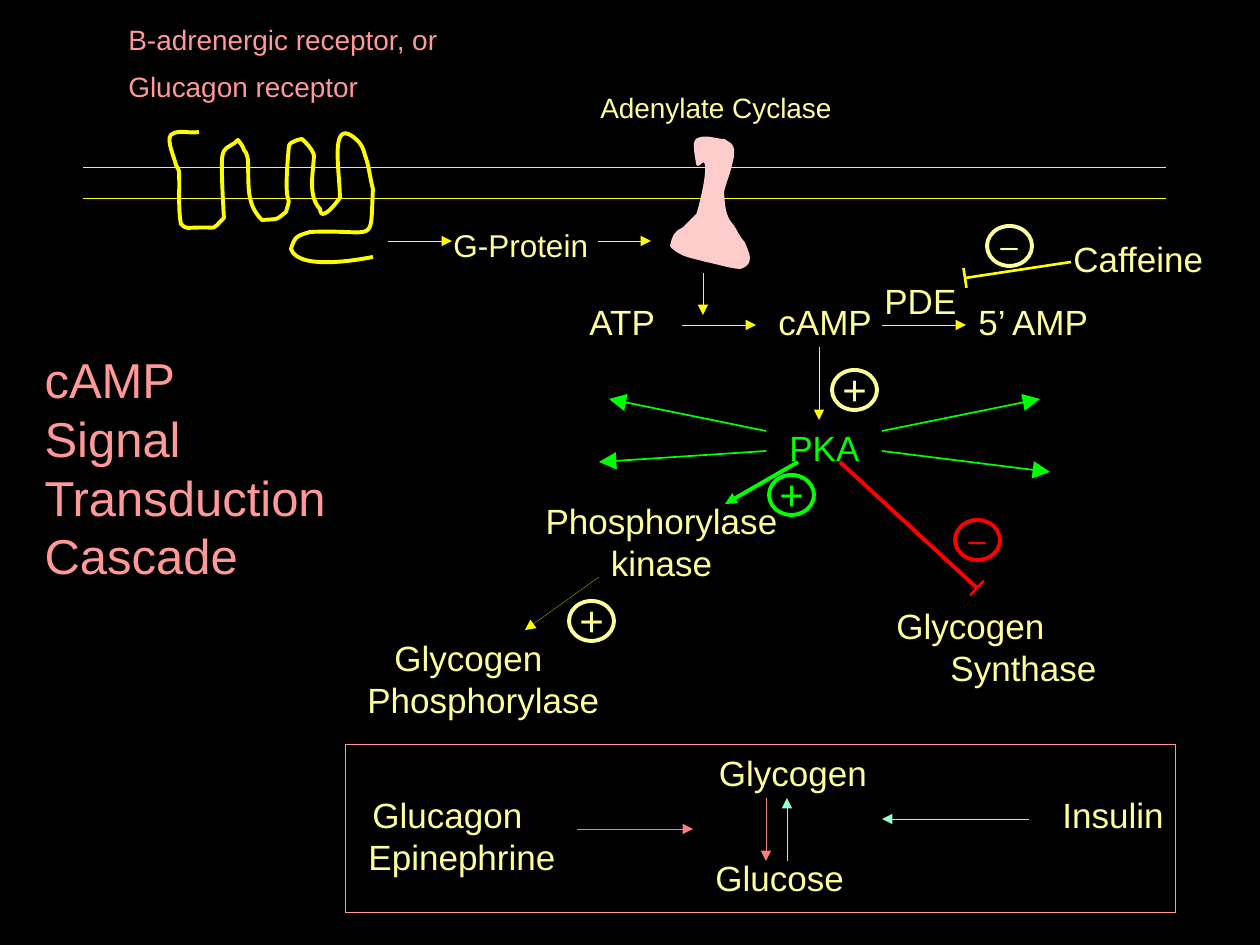
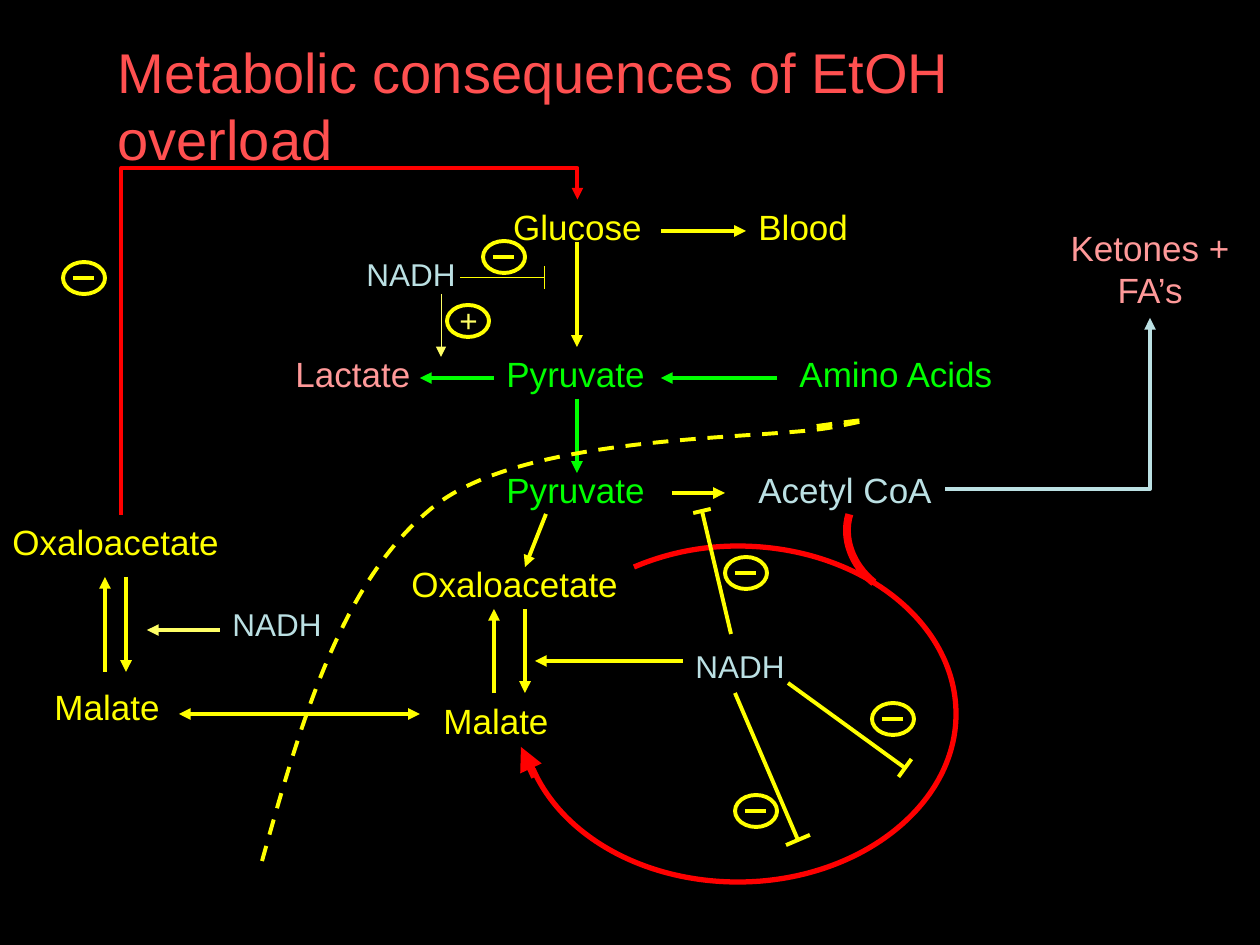
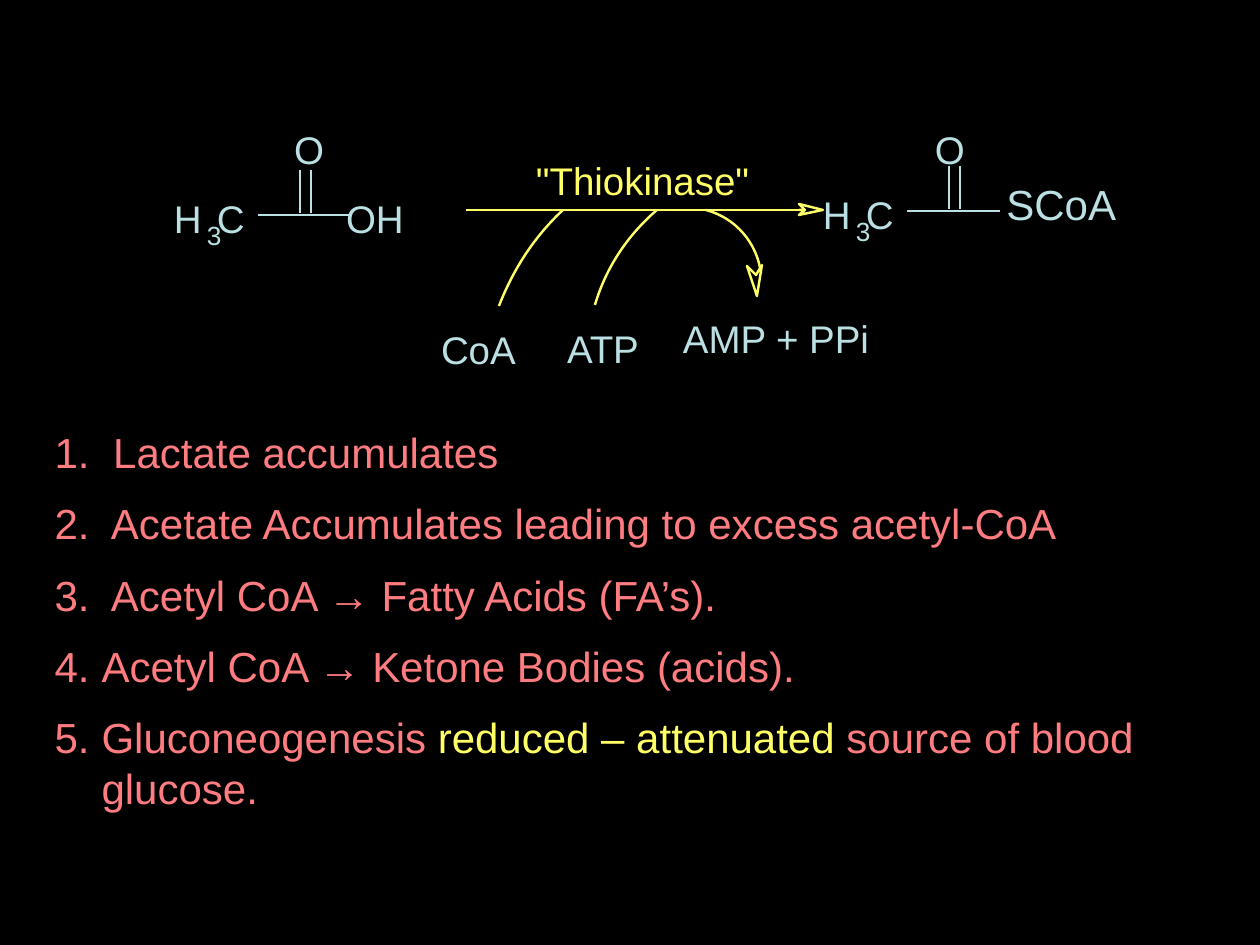
from copy import deepcopy
from dataclasses import dataclass
from math import hypot

from lxml import etree
from pptx import Presentation
from pptx import util as u
from pptx.dml.color import RGBColor
from pptx.enum import dml, shapes, text
from pptx.oxml.ns import qn

PX = u.Inches(1) / 126
LEFT, MID = text.PP_ALIGN.LEFT, text.PP_ALIGN.CENTER


@dataclass(frozen=True)
class Theme:
    """Colours, type sizes and line widths of the deck."""
    font: str = "Arial"
    black: str = "000000"
    yellow: str = "FFFF00"
    cream: str = "FFFF99"
    lemon: str = "FFFF66"
    rose: str = "FF9999"
    salmon: str = "FF7C80"
    coral: str = "FF5050"
    pink: str = "FFCCCC"
    red: str = "FF0000"
    green: str = "00FF00"
    mint: str = "99FFCC"
    ice: str = "BBE0E3"
    head: int = 32
    side: int = 28
    big: int = 24
    atom: int = 22
    base: int = 20
    small: int = 18
    note: int = 16
    sub: int = 15
    thin: float = 0  # the default hairline
    fine: float = 1
    bond: float = 1.38
    mid: float = 1.5
    bold: float = 2.25
    ring: float = 3
    thick: float = 4.5


T = Theme()


def emu(n):
    """Turn pixels into EMU."""
    return u.Emu(round(n * PX))


def rgb(hue):
    """Turn a hex string into a colour."""
    return RGBColor.from_string(hue)


def put(obj, **vals):
    """Set attributes from format values."""
    for key, val in vals.items():
        setattr(obj, key, val)


def run(par, words, size, hue):
    """Add one formatted run to a paragraph."""
    r = par.add_run()
    r.text = words
    put(r.font, name=T.font, size=u.Pt(size))
    r.font.color.rgb = rgb(hue)


def flow(frame, rows, size, hue, align=LEFT, lefts=()):
    """Fill a text frame, one paragraph a row, with optional indents."""
    for i, row in enumerate(rows):
        par = frame.paragraphs[0] if i == 0 else frame.add_paragraph()
        put(par, alignment=align, space_before=u.Pt(0 if lefts else size / 2))
        if lefts:
            par._p.get_or_add_pPr().set("marL", str(emu(lefts[i])))
        for part in [row] if isinstance(row, str) else row:
            words, tint = (part, hue) if isinstance(part, str) else part
            run(par, words, size, tint)


def place(shape, x, y, w, h):
    """Move and size a shape in pixels."""
    put(shape, left=emu(x), top=emu(y), width=emu(w), height=emu(h))


def smooth(way, count):
    """Turn the first segments of a path into cubic curves, three to a curve."""
    legs = way.findall(qn("a:lnTo"))[:count]
    for i in range(0, count, 3):
        curve = etree.Element(qn("a:cubicBezTo"))
        legs[i].addprevious(curve)
        for leg in legs[i:i + 3]:
            curve.append(leg[0])
            way.remove(leg)


class Pen:
    """Draws in pixels from the corner of a region."""

    def __init__(self, tree, x=0, y=0):
        self.tree, self.x, self.y = tree, x, y

    def sub(self, x, y):
        """A pen for a box inside this region."""
        return Pen(self.tree, self.x + x, self.y + y)

    def group(self, x, y):
        """A pen for a new group."""
        return Pen(self.tree.add_group_shape().shapes, self.x + x, self.y + y)

    def ink(self, shape, hue, width):
        """Colour the outline of a shape; thin lines keep the default width."""
        shape.line.color.rgb = rgb(hue)
        if width:
            shape.line.width = u.Pt(width)
        else:
            style = shape._element.find(qn("p:style"))
            shape._element.remove(style)

    def text(self, words, x, y, w, h=54, hue=T.cream, size=T.base,
             align=LEFT, lefts=(), tight=False, wrap=True):
        """Add a text box."""
        box = self.tree.add_textbox(emu(self.x + x), emu(self.y + y), emu(w), emu(h))
        frame = box.text_frame
        put(frame, word_wrap=wrap, auto_size=text.MSO_AUTO_SIZE.SHAPE_TO_FIT_TEXT)
        if tight:
            put(frame, margin_left=0, margin_right=0, margin_top=0, margin_bottom=0)
        flow(frame, [words] if isinstance(words, str) else words, size, hue, align, lefts)

    def line(self, x1, y1, x2, y2, hue=T.yellow, width=T.thin, tips="tailEnd",
             kind=shapes.MSO_CONNECTOR.STRAIGHT, tip="med"):
        """Add a connector with arrowheads at the named ends."""
        c = self.tree.add_connector(kind, emu(self.x + x1), emu(self.y + y1),
                                    emu(self.x + x2), emu(self.y + y2))
        self.ink(c, hue, width)
        ln = c.line._get_or_add_ln()
        for end in tips.split():
            etree.SubElement(ln, qn("a:" + end), type="triangle", w=tip, len=tip)
        etree.SubElement(c._element.spPr, qn("a:effectLst"))
        return c

    def elbow(self, x1, y1, x2, y2, hue, kind, turn=0, adj=None):
        """Add a bent connector, turned by whole degrees."""
        c = self.line(x1, y1, x2, y2, hue, T.bold, kind=shapes.MSO_CONNECTOR.ELBOW)
        props = c._element.spPr
        geom = props.find(qn("a:prstGeom"))
        geom.set("prst", kind)
        if turn:
            props.find(qn("a:xfrm")).set("rot", str(turn * 60000))
        if adj:
            etree.SubElement(geom.find(qn("a:avLst")), qn("a:gd"),
                             name="adj1", fmla=f"val {adj}")

    def stop(self, x1, y1, x2, y2, half, hue=T.yellow, width=T.bold, bar=None):
        """Add a line that ends in a crossbar."""
        self.line(x1, y1, x2, y2, hue, width, "")
        k = half / hypot(x2 - x1, y2 - y1)
        dx, dy = (y1 - y2) * k, (x2 - x1) * k
        self.line(x2 - dx, y2 - dy, x2 + dx, y2 + dy, hue, bar or width, "")

    def shape(self, kind, x, y, w, h, hue, width):
        """Add an unfilled preset shape."""
        s = self.tree.add_shape(kind, emu(self.x + x), emu(self.y + y), emu(w), emu(h))
        s.shadow.inherit = False
        s.fill.background()
        self.ink(s, hue, width)

    def free(self, pts, hue, width, fill=None, close=False):
        """Add an outline through points."""
        pts = [(emu(self.x + x), emu(self.y + y)) for x, y in pts]
        b = self.tree.build_freeform(*pts[0])
        b.add_line_segments(pts[1:], close=close)
        s = b.convert_to_shape()
        s.shadow.inherit = False
        if fill:
            s.fill.solid()
            s.fill.fore_color.rgb = rgb(fill)
        else:
            s.fill.background()
        self.ink(s, hue, width)
        return s

    def curve(self, flat, hue, width, fill=None, close=False):
        """Add cubic curves: a start, then three points for each."""
        pts = list(zip(flat[::2], flat[1::2]))
        s = self.free(pts, hue, width, fill, close)
        smooth(next(s._element.iter(qn("a:path"))), len(pts) - 1)
        return s

    def arc(self, flat, hub, hue, width):
        """Add an open arc whose unstroked sector reaches its hub."""
        pts = list(zip(flat[::2], flat[1::2]))
        s = self.free(pts + [hub], hue, width, close=True)
        sector = next(s._element.iter(qn("a:path")))
        smooth(sector, len(pts) - 1)
        edge = deepcopy(sector)
        for tag in ("a:lnTo", "a:close"):
            edge.remove(edge.find(qn(tag)))
        edge.set("fill", "none")
        sector.set("stroke", "0")
        sector.addprevious(edge)
        return s

    def sign(self, mark, x, y, hue=T.cream):
        """Add a large ringed plus or minus."""
        g = self.group(x, y)
        box, size = ((-2, -13, 50, 63), T.big) if mark == "+" else ((1, -6, 43, 50), T.small)
        g.text(mark, *box, hue, size, wrap=False)
        g.shape(shapes.MSO_SHAPE.OVAL, 0, 0, 45, 40, hue, T.bold)

    def badge(self, mark, x, y):
        """Add a small ringed plus or minus."""
        g = self.group(x, y)
        if mark == "-":
            g.line(10, 16, 31, 16, width=T.bold, tips="")
        g.shape(shapes.MSO_SHAPE.OVAL, 0, 0, 42, 32, T.yellow, T.bold)
        if mark == "+":
            g.text(mark, 0, -10, 44, 50, T.lemon, T.small, wrap=False)


def title(slide, rows, box, size, hue, anchor):
    """Format the title placeholder."""
    t = slide.shapes.title
    place(t, *box)
    put(t.text_frame, word_wrap=True, vertical_anchor=anchor,
        auto_size=text.MSO_AUTO_SIZE.NONE)
    flow(t.text_frame, rows, size, hue, lefts=[0] * len(rows))


def receptor(p):
    """The seven-pass receptor thread."""
    p.curve([
        99, 32, 90, 34, 78, 29, 71, 35, 66, 40, 75, 59, 76, 65, 78, 68, 79, 71, 79, 71,
        80, 89, 78, 107, 81, 124, 83, 127, 85, 127, 88, 128, 124, 126, 109, 132, 124, 118,
        123, 100, 122, 83, 122, 65, 122, 60, 122, 55, 124, 51, 127, 46, 134, 45, 138, 40,
        141, 44, 143, 46, 144, 50, 147, 52, 148, 60, 148, 60, 149, 86, 146, 104, 162, 120,
        180, 119, 176, 120, 186, 112, 194, 86, 182, 122, 189, 46, 190, 41, 202, 39, 202, 39,
        207, 44, 211, 47, 214, 55, 214, 70, 207, 95, 220, 109, 221, 110, 220, 114, 223, 114,
        229, 113, 236, 103, 240, 98, 240, 71, 228, 11, 259, 42, 262, 46, 264, 50, 265, 55,
        269, 65, 270, 78, 273, 89, 270, 147, 278, 129, 210, 132, 197, 136, 195, 136, 191, 149,
        199, 173, 272, 157, 273, 157], T.yellow, T.bold)


def cyclase(p):
    """The enzyme body across the membrane."""
    p.curve([
        98, 64, 98, 61, 93, 41, 98, 40, 106, 36, 116, 41, 124, 41, 126, 42, 128, 44, 130, 45,
        135, 51, 131, 60, 130, 65, 128, 74, 124, 83, 122, 92, 123, 104, 123, 117, 132, 126,
        136, 132, 138, 138, 143, 143, 147, 153, 153, 163, 140, 167, 128, 166, 117, 162, 106, 160,
        93, 156, 83, 156, 72, 146, 74, 137, 75, 133, 84, 129, 89, 124, 98, 115, 98, 115,
        101, 107, 117, 45, 98, 64], T.pink, T.bold, T.pink, True)


def membrane(p):
    """Membrane with receptor, G-protein and cyclase."""
    for y in (168, 199):
        p.line(84, y, 1166, y, tips="")
    receptor(p.sub(100, 100))
    p.text(["B-adrenergic receptor, or", "Glucagon receptor"], 116, 16, 357, 97,
           T.rose, T.note)
    p.line(388, 241, 452, 241)
    p.text("G-Protein", 441, 220, 189, 50, size=T.small)
    p.line(598, 241, 651, 241)
    cyclase(p.sub(600, 100))
    p.text("Adenylate Cyclase", 588, 84, 325, 47, size=T.note)


def turnover(p):
    """Making and breaking of cAMP."""
    for arrow in ((203, 73, 203, 115), (182, 125, 256, 125), (382, 125, 466, 125)):
        p.line(*arrow)
    for words, x, y, w in (("ATP", 77, 94, 95), ("cAMP", 266, 94, 126), ("PDE", 372, 73, 116),
                           ("5’ AMP", 466, 94, 199), ("Caffeine", 561, 31, 179)):
        p.text(words, x, y, w)
    p.stop(571, 62, 465, 78, 10, width=T.mid)
    p.sign("–", 487, 26)


def kinase(p):
    """PKA and its targets."""
    p.line(519, 47, 519, 120)
    p.sign("+", 532, 70)
    p.text("PKA", 446, 120, 157, hue=T.green, align=MID)
    for arrow in ((466, 131, 309, 99), (466, 151, 299, 162),
                  (582, 131, 740, 99), (582, 151, 750, 172)):
        p.line(*arrow, T.green, T.fine, tip="lg")
    p.line(498, 162, 425, 204, T.green, T.bold)
    p.sign("+", 469, 175, T.green)
    p.text("Phosphorylase kinase", 225, 193, 273, 97, align=MID)
    p.line(299, 277, 225, 330)
    p.sign("+", 269, 301)
    p.text(["Glycogen", "Phosphorylase"], 47, 330, 273, 97, lefts=(35, 8))
    p.stop(540, 162, 677, 288, 10, T.red, T.bold, T.mid)
    p.sign("–", 655, 220, T.red)
    p.text(["Glycogen", "Synthase"], 582, 298, 284, 97, lefts=(2, 56))


def balance(p):
    """Framed summary of hormone effects."""
    p.text(["Glucagon", "Epinephrine"], -21, 41, 273, 97, lefts=(35, 31))
    p.text("Glycogen", 316, -1, 262, align=MID)
    p.text("Glucose", 357, 104, 179)
    p.text("Insulin", 704, 41, 136)
    for arrow in ((231, 83, 347, 83), (420, 52, 420, 115)):
        p.line(*arrow, T.salmon)
    for arrow in ((441, 115, 441, 52), (683, 73, 536, 73)):
        p.line(*arrow, T.mint)
    p.shape(shapes.MSO_SHAPE.RECTANGLE, 0, -1, 830, 168, T.rose, T.thin)


def glycolysis(p):
    """Glucose to pyruvate and lactate."""
    for words, x, y, w, hue, align in (
            ("Glucose", 210, 99, 335, T.yellow, MID), ("Blood", 546, 99, 231, T.yellow, LEFT),
            ("Lactate", 83, 246, 158, T.rose, LEFT), ("Pyruvate", 294, 246, 210, T.green, LEFT),
            ("Amino Acids", 587, 246, 231, T.green, LEFT)):
        p.text(words, x, y, w, hue=hue, align=align)
    for arrow in ((461, 131, 546, 131), (377, 142, 377, 247)):
        p.line(*arrow, T.yellow, T.bold)
    for arrow in ((577, 278, 461, 278), (294, 278, 220, 278), (377, 299, 377, 373)):
        p.line(*arrow, T.green, T.bold)
    p.text("NADH", 154, 149, 123, 50, T.ice, T.small)
    p.stop(261, 178, 345, 178, 11, width=T.thin)
    p.line(241, 194, 241, 257, T.lemon)
    p.badge("-", 283, 141)
    p.badge("+", 247, 205)


def cytosol(p):
    """Malate and oxaloacetate outside the mitochondrion."""
    p.text("Oxaloacetate", 0, 414, 242, hue=T.yellow)
    p.text("Malate", 42, 579, 130, hue=T.yellow)
    p.text("NADH", 220, 499, 115, 50, T.ice, T.small)
    p.line(105, 572, 105, 477, width=T.bold)
    p.line(126, 477, 126, 572, width=T.bold)
    p.line(220, 530, 147, 530, T.lemon, T.bold)
    p.line(420, 614, 179, 614, width=T.bold, tips="headEnd tailEnd")
    p.elbow(192, 29, 507, 485, T.red, "bentConnector3", 270, 110000)
    p.badge("-", 63, 162)


def matrix(p):
    """Pyruvate, acetyl CoA and the cycle inside the mitochondrion."""
    border = p.curve([-138, 461, -98, 318, -57, 176, 37, 104, 133, 32, 371, 40, 434, 27,
                      496, 15, 453, 21, 410, 27], T.yellow, T.bold)
    border.line.dash_style = dml.MSO_LINE.DASH
    for words, x, y, w, hue in (
            ("Pyruvate", 94, 62, 168, T.green), ("Acetyl CoA", 346, 62, 199, T.ice),
            ("Oxaloacetate", -1, 156, 252, T.yellow), ("Malate", 31, 293, 136, T.yellow)):
        p.text(words, x, y, w, hue=hue)
    p.text("Ketones + FA’s", 640, -180, 220, 97, T.rose, align=MID)
    p.text("NADH", 283, 241, 126, 50, T.ice, T.small)
    p.elbow(545, 89, 750, -82, T.ice, "bentConnector2")
    for arrow in ((272, 93, 325, 93), (146, 114, 125, 167), (94, 293, 94, 209),
                  (125, 209, 125, 293), (283, 261, 135, 261)):
        p.line(*arrow, width=T.bold)
    p.arc([234, 167, 267, 153, 302, 146, 338, 146, 458, 146, 556, 221, 556, 314,
           556, 406, 458, 482, 338, 482, 245, 482, 163, 437, 133, 369],
          (338, 314), T.red, T.ring)
    p.line(135, 377, 121, 347, T.red, T.thick)
    merge = p.arc([505, 116, 480, 116, 457, 134, 447, 160], (505, 190), T.red, T.thick)
    merge.rotation = 287.5
    for end in ((331, 234, 302, 111, 9), (388, 283, 505, 368, 11), (335, 293, 398, 440, 13)):
        p.stop(*end)
    for x, y in ((325, 157), (472, 303), (335, 395)):
        p.badge("-", x, y)


def atom(p, words, x, y, w, h=47, hue=T.ice, size=T.atom):
    """A label without margins."""
    p.text(words, x, y, w, h, hue, size, tight=True, wrap=False)


def acyl(p, x, y):
    """A methyl carbonyl group; x, y place its oxygen."""
    atom(p, "H", 0, 69, 28)
    atom(p, "3", 33, 93, 15, 32, size=T.sub)
    atom(p, "C", 43, 69, 28)
    atom(p, "O", x, y, 30)
    for x1, x2 in ((84, 132), (132, 177)):
        p.line(x1, 89, x2, 89, T.ice, T.bond, "")
    for bond in (126, 137):
        p.line(bond, 87, bond, 44, T.ice, T.bond, "")


def reaction(p):
    """The activation step with its cofactors."""
    p.line(66, 110, 399, 110, T.lemon, T.bond, "")
    for flat, hub in (((99, 206, 113, 170, 134, 137, 163, 110), (336, 294)),
                      ((195, 205, 206, 168, 227, 136, 257, 110), (386, 260)),
                      ((306, 110, 336, 118, 357, 143, 361, 173), (285, 181))):
        p.arc(flat, hub, T.lemon, T.bond)
    for head in (((399, 110), (405, 110), (399, 104), (423, 110), (399, 115), (405, 110)),
                 ((362, 165), (357, 196), (347, 166), (356, 175))):
        p.free(head, T.lemon, T.bond, T.black, True)
    atom(p, '"Thiokinase"', 136, 57, 218, hue=T.lemon)
    atom(p, "CoA", 41, 226, 80)
    atom(p, "ATP", 167, 225, 80)
    atom(p, "AMP + PPi", 283, 215, 192)


def points(slide, rows, box):
    """Numbered list in the body placeholder."""
    body = slide.placeholders[1]
    place(body, *box)
    put(body.text_frame, word_wrap=True, auto_size=text.MSO_AUTO_SIZE.NONE)
    flow(body.text_frame, rows, T.big, T.salmon)
    for par in body.text_frame.paragraphs:
        props = par._p.get_or_add_pPr()
        props.set("marL", str(emu(47)))
        props.set("indent", str(-emu(47)))
        etree.SubElement(props, qn("a:buFont"), typeface="+mj-lt")
        etree.SubElement(props, qn("a:buAutoNum"), type="arabicPeriod")


def cascade(slide):
    """Slide on the cAMP cascade."""
    title(slide, ["cAMP", "Signal Transduction Cascade"], (32, 357, 325, 220),
          T.side, T.rose, text.MSO_ANCHOR.MIDDLE)
    for part, x, y in ((membrane, 0, 0), (turnover, 500, 200),
                       (kinase, 300, 300), (balance, 346, 746)):
        part(Pen(slide.shapes, x, y))


def overload(slide):
    """Slide on the effects of alcohol."""
    title(slide, ["Metabolic consequences of EtOH overload"], (105, 31, 1050, 79),
          T.head, T.coral, text.MSO_ANCHOR.TOP)
    for part, x, y in ((glycolysis, 200, 100), (cytosol, 0, 100), (matrix, 400, 400)):
        part(Pen(slide.shapes, x, y))


def summary(slide):
    """Slide with the reaction and its results."""
    head = slide.shapes.title._element
    head.getparent().remove(head)
    points(slide, [" Lactate accumulates",
                   " Acetate Accumulates leading to excess acetyl-CoA",
                   " Acetyl CoA → Fatty Acids (FA’s).",
                   "Acetyl CoA → Ketone Bodies (acids).",
                   ["Gluconeogenesis ", ("reduced – attenuated", T.lemon),
                    " source of blood glucose."]], (42, 420, 1187, 416))
    p = Pen(slide.shapes)
    acyl(p.sub(174, 126), 120, 0)
    atom(p, "O", 346, 195, 30)
    atom(p, "H", 376, 195, 28)
    reaction(p.sub(400, 100))
    acyl(p.sub(823, 122), 112, 4)
    p.text("SCoA", 994, 172, 135, 63, T.ice, T.big, wrap=False)


prs = Presentation()
put(prs, slide_width=u.Inches(10), slide_height=u.Inches(7.5))
back = prs.slide_master.background.fill
back.solid()
back.fore_color.rgb = rgb(T.black)
for build, kind in ((cascade, 5), (overload, 5), (summary, 1)):
    build(prs.slides.add_slide(prs.slide_layouts[kind]))
prs.save("out.pptx")
